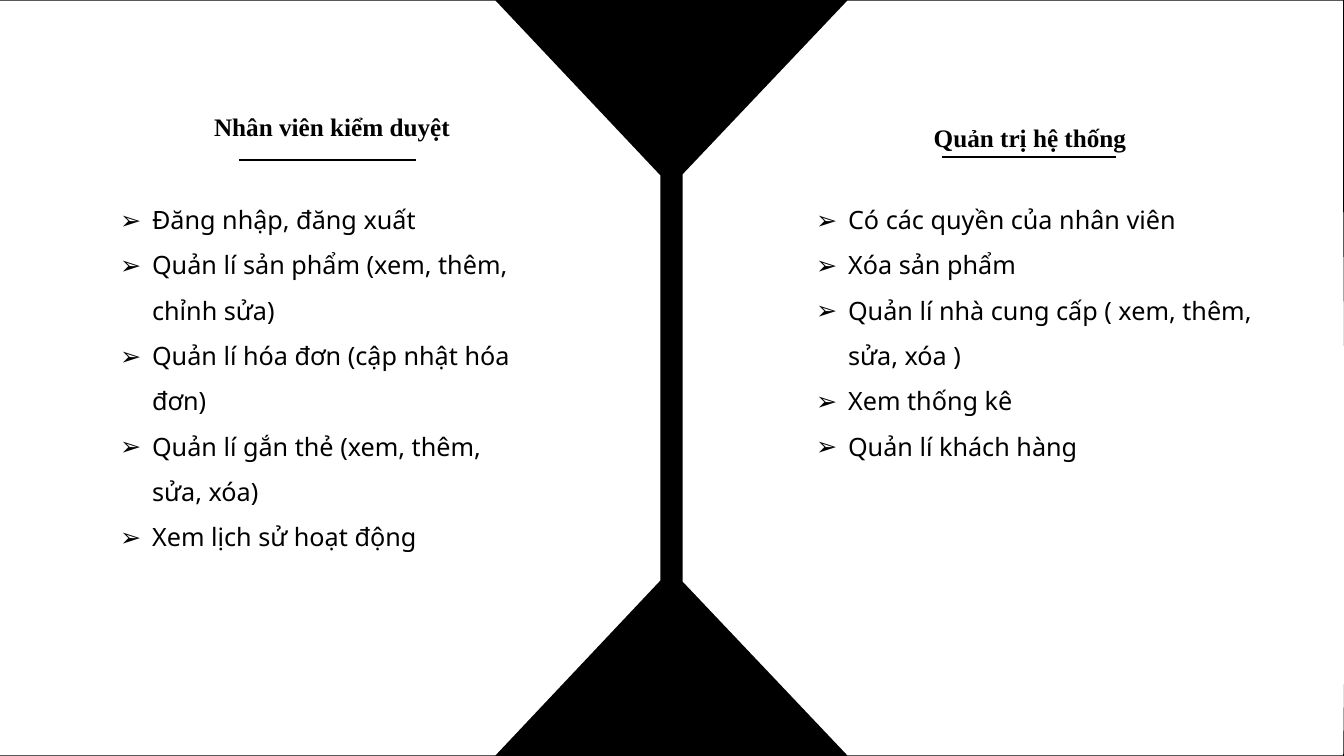
from dataclasses import dataclass

from lxml.etree import SubElement
from pptx import Presentation
from pptx.dml.color import RGBColor
from pptx.enum.shapes import MSO_CONNECTOR, MSO_SHAPE
from pptx.enum.text import MSO_ANCHOR, MSO_AUTO_SIZE, PP_ALIGN
from pptx.oxml.ns import qn
from pptx.util import Pt

EMU_PER_PIXEL = 914400 / 100.8
COMPARISON_LAYOUT = 4


def px(length):
    return round(length * EMU_PER_PIXEL)


def apply_format(target, values):
    for name, value in values.items():
        setattr(target, name, value)


@dataclass(frozen=True)
class Theme:
    ink: RGBColor = RGBColor(0, 0, 0)
    paper: RGBColor = RGBColor(255, 255, 255)
    heading_font: str = "Times New Roman"
    list_font: str = "Noto Sans"
    text_size: int = Pt(18)
    outline: int = Pt(1)
    rule: int = Pt(1.5)


class SlideBuilder:
    def __init__(self, slide, theme):
        self.slide = slide
        self.theme = theme

    def paint(self, shape, color):
        shape.shadow.inherit = False
        shape.fill.solid()
        shape.fill.fore_color.rgb = color
        shape.line.color.rgb = self.theme.ink
        shape.line.width = self.theme.outline

    def octagon(self, left, top, width, height):
        shape = self.slide.shapes.add_shape(
            MSO_SHAPE.OCTAGON, px(left), px(top), px(width), px(height))
        self.paint(shape, self.theme.ink)

    def panel(self, points):
        outline = self.slide.shapes.build_freeform(*points[0], scale=EMU_PER_PIXEL)
        outline.add_line_segments(points[1:], close=True)
        self.paint(outline.convert_to_shape(), self.theme.paper)

    def rule(self, left, right, y):
        line = self.slide.shapes.add_connector(
            MSO_CONNECTOR.STRAIGHT, px(left), px(y), px(right), px(y))
        line.line.color.rgb = self.theme.ink
        line.line.width = self.theme.rule
        SubElement(line._element.spPr, qn("a:effectLst"))

    def text(self, index, place, lines, font, paragraph, margin, indent):
        box = self.slide.placeholders[index]
        self.slide.shapes._spTree.append(box._element)
        apply_format(box, dict(zip(("left", "top", "width", "height"), map(px, place))))
        frame = box.text_frame
        frame.text = "\n".join(lines)
        apply_format(frame, {
            "word_wrap": True,
            "auto_size": MSO_AUTO_SIZE.SHAPE_TO_FIT_TEXT,
            "vertical_anchor": MSO_ANCHOR.TOP,
        })
        for para in frame.paragraphs:
            apply_format(para, paragraph)
            properties = para._p.get_or_add_pPr()
            properties.set("marL", str(px(margin)))
            properties.set("indent", str(px(indent)))
            for span in para.runs:
                apply_format(span.font, {"size": self.theme.text_size, **font})
                span.font.color.rgb = self.theme.ink
        return frame

    def heading(self, index, place, wording):
        self.text(
            index, place, [wording],
            font={"name": self.theme.heading_font, "bold": True},
            paragraph={"alignment": PP_ALIGN.CENTER, "line_spacing": 1.3,
                       "space_before": Pt(6), "space_after": Pt(6)},
            margin=6, indent=0)

    def bullets(self, index, place, items):
        frame = self.text(
            index, place, items,
            font={"name": self.theme.list_font, "bold": False},
            paragraph={"alignment": PP_ALIGN.LEFT, "line_spacing": 1.5,
                       "space_before": Pt(0), "space_after": Pt(0)},
            margin=32, indent=-32)
        for para in frame.paragraphs:
            properties = para._p.get_or_add_pPr()
            SubElement(properties, qn("a:buFont"), typeface=self.theme.list_font)
            SubElement(properties, qn("a:buChar"), char="➢")


def main():
    deck = Presentation()
    deck.slide_width, deck.slide_height = px(1344), px(756)
    page = deck.slides.add_slide(deck.slide_layouts[COMPARISON_LAYOUT])
    title = page.shapes.title._element
    title.getparent().remove(title)
    builder = SlideBuilder(page, Theme())

    builder.octagon(-3, 0, 1348, 756)
    builder.panel([(682, 174), (847, 0), (1344, 0), (1344, 208),
                   (1346, 569), (1344, 756), (847, 756), (682, 582)])
    builder.panel([(-3, 0), (496, 0), (661, 175), (661, 581), (496, 756), (-3, 756)])

    builder.bullets(4, (806, 184, 468, 279), [
        "Có các quyền của nhân viên",
        "Xóa sản phẩm",
        "Quản lí nhà cung cấp ( xem, thêm, sửa, xóa )",
        "Xem thống kê",
        "Quản lí khách hàng",
    ])
    builder.bullets(2, (110, 184, 435, 416), [
        "Đăng nhập, đăng xuất",
        "Quản lí sản phẩm (xem, thêm, chỉnh sửa)",
        "Quản lí hóa đơn (cập nhật hóa đơn)",
        "Quản lí gắn thẻ (xem, thêm, sửa, xóa)",
        "Xem lịch sử hoạt động",
    ])
    builder.heading(1, (190, 97, 278, 46), "Nhân viên kiểm duyệt")
    builder.rule(239, 416, 160)
    builder.heading(3, (875, 108, 304, 46), "Quản trị hệ thống")
    builder.rule(942, 1116, 157)

    deck.save("out.pptx")


if __name__ == "__main__":
    main()
